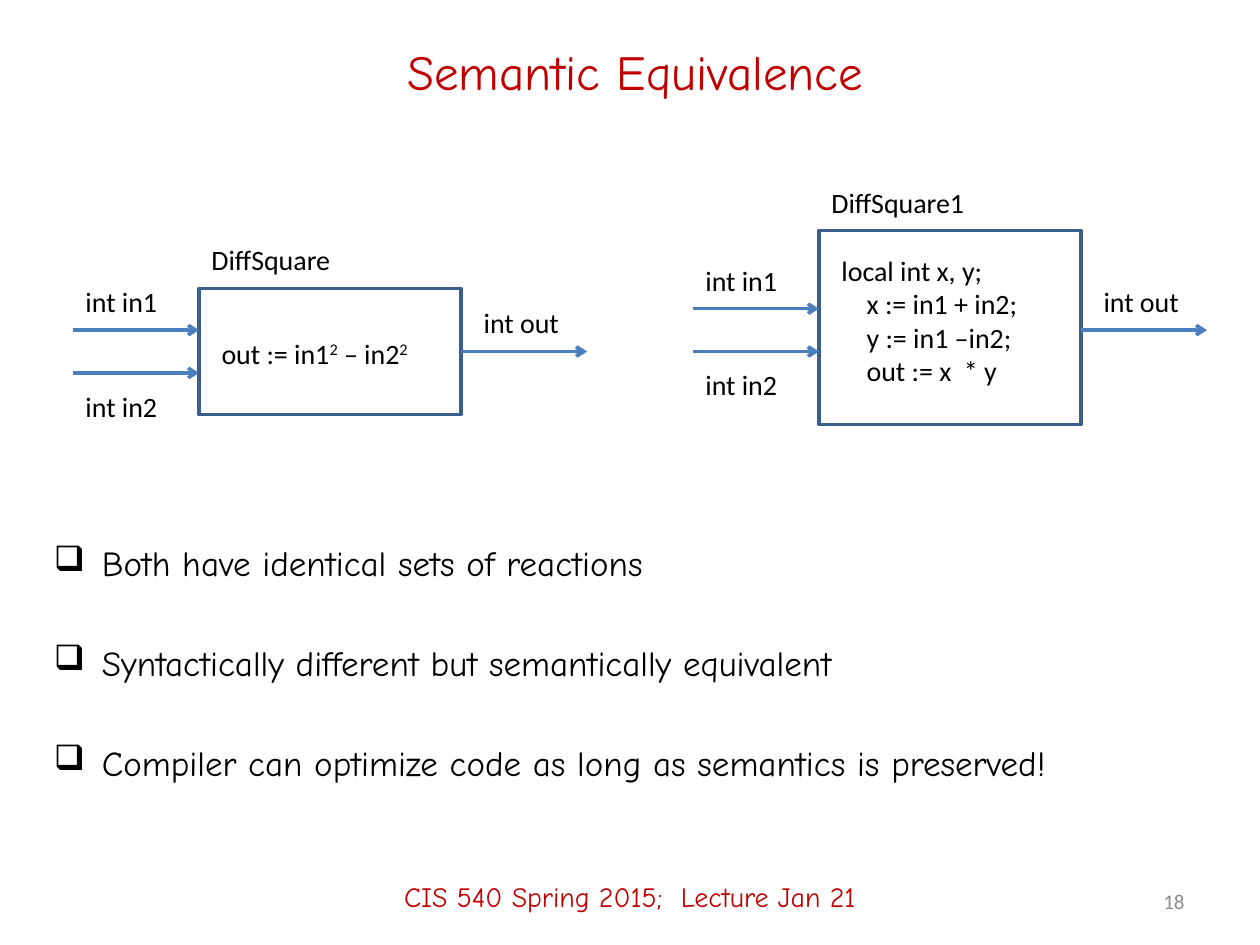
from dataclasses import dataclass

from lxml import etree
from pptx import Presentation
from pptx.dml.color import RGBColor
from pptx.enum import shapes, text
from pptx.oxml import ns
from pptx.util import Inches, Pt


@dataclass(frozen=True)
class Theme:
    heading_font: str = "Comic Neue"
    diagram_font: str = "Calibri"
    red: str = "C00000"
    black: str = "000000"
    gray: str = "8C8C8C"
    outline: str = "3A5F8C"
    arrow: str = "4B7EBC"
    title_size: int = 28
    body_size: int = 20
    label_size: int = 16
    number_size: int = 12
    line_width: int = 2
    bullet_gap: int = 33


class Page:
    """Holds the theme and the slide being drawn."""

    def __init__(self, slide, theme):
        self.slide = slide
        self.theme = theme

    def text(self, area, lines, size, font=None, color=None, align=None,
             middle=False, wrap=True):
        """Add a text box; each line is a string or a list of (string, raised) spans."""
        box = self.slide.shapes.add_textbox(*map(Inches, area))
        frame = box.text_frame
        frame.word_wrap = wrap
        if middle:
            frame.vertical_anchor = text.MSO_ANCHOR.MIDDLE
        for index, line in enumerate(lines):
            para = frame.add_paragraph() if index else frame.paragraphs[0]
            para.alignment = align or text.PP_ALIGN.LEFT
            for content, raised in [(line, False)] if isinstance(line, str) else line:
                span = para.add_run()
                span.text = content
                span.font.size = Pt(size)
                span.font.name = font or self.theme.diagram_font
                span.font.color.rgb = RGBColor.from_string(color or self.theme.black)
                if raised:
                    span.font._element.set("baseline", "30000")
        return frame

    def label(self, left, top, width, lines):
        height = 0.1 + 0.27 * len(lines)
        self.text((left, top, width, height), lines, self.theme.label_size, wrap=False)

    def bullets(self, area, lines):
        frame = self.text(area, lines, self.theme.body_size, self.theme.heading_font)
        for index, para in enumerate(frame.paragraphs):
            if index:
                para.space_before = Pt(self.theme.bullet_gap)
            properties = para._p.get_or_add_pPr()
            properties.set("marL", str(Inches(0.38)))
            properties.set("indent", str(-Inches(0.38)))
            etree.SubElement(properties, ns.qn("a:buChar"), char="❑")

    def arrow(self, left, y, length=1):
        line = self.slide.shapes.add_connector(
            shapes.MSO_CONNECTOR.STRAIGHT,
            Inches(left), Inches(y), Inches(left + length), Inches(y))
        line.line.color.rgb = RGBColor.from_string(self.theme.arrow)
        line.line.width = Pt(self.theme.line_width)
        etree.SubElement(line.line._get_or_add_ln(), ns.qn("a:tailEnd"), type="arrow")
        etree.SubElement(line._element.spPr, ns.qn("a:effectLst"))

    def block(self, area):
        box = self.slide.shapes.add_shape(
            shapes.MSO_SHAPE.RECTANGLE, *map(Inches, area))
        box.shadow.inherit = False
        box.fill.background()
        box.line.color.rgb = RGBColor.from_string(self.theme.outline)
        box.line.width = Pt(self.theme.line_width)

    def component(self, area, axis, name, name_width, code, code_top, code_width):
        """Draw a block with two inputs and one output placed around the axis height."""
        left, top, width, _ = area
        right = left + width
        self.block(area)
        self.label(left, top - 0.41, name_width, [name])
        self.label(left + 0.08, code_top, code_width, code)
        for port, offset, label_offset in (("in1", -0.17, -0.58), ("in2", 0.17, 0.25)):
            self.arrow(left - 1, axis + offset)
            self.label(left - 1, axis + label_offset, 0.78, [f"int {port}"])
        self.arrow(right, axis)
        self.label(right + 0.08, axis - 0.41, 0.81, ["int out"])


def main():
    theme = Theme()
    deck = Presentation()
    deck.slide_width, deck.slide_height = Inches(10), Inches(7.5)
    page = Page(deck.slides.add_slide(deck.slide_layouts[6]), theme)

    page.text((0.75, 0.17, 8.58, 0.78), ["Semantic Equivalence"], theme.title_size,
              theme.heading_font, theme.red, text.PP_ALIGN.CENTER, middle=True)
    page.bullets((0.33, 4.25, 9.17, 2.25), [
        "Both have identical sets of reactions",
        "Syntactically different but semantically equivalent",
        "Compiler can optimize code as long as semantics is preserved!",
    ])

    squares = [("out := in1", False), ("2", True), (" – in2", False), ("2", True)]
    page.component((1.58, 2.29, 2.08, 1), 2.79, "DiffSquare", 1.16,
                   [squares], 2.62, 1.72)
    product = [
        "local int x, y;",
        "    x := in1 + in2;",
        "    y := in1 –in2;",
        "    out := x  * y",
    ]
    page.component((6.5, 1.83, 2.08, 1.54), 2.62, "DiffSquare1", 1.27,
                   product, 1.96, 1.6)

    page.text((0, 6.72, 10, 0.78), ["CIS 540 Spring 2015;  Lecture Jan 21"],
              theme.label_size, theme.heading_font, theme.red,
              text.PP_ALIGN.CENTER, middle=True)
    page.text((7.17, 6.95, 2.33, 0.4), ["18"], theme.number_size,
              color=theme.gray, align=text.PP_ALIGN.RIGHT, middle=True)

    deck.save("out.pptx")


if __name__ == "__main__":
    main()
